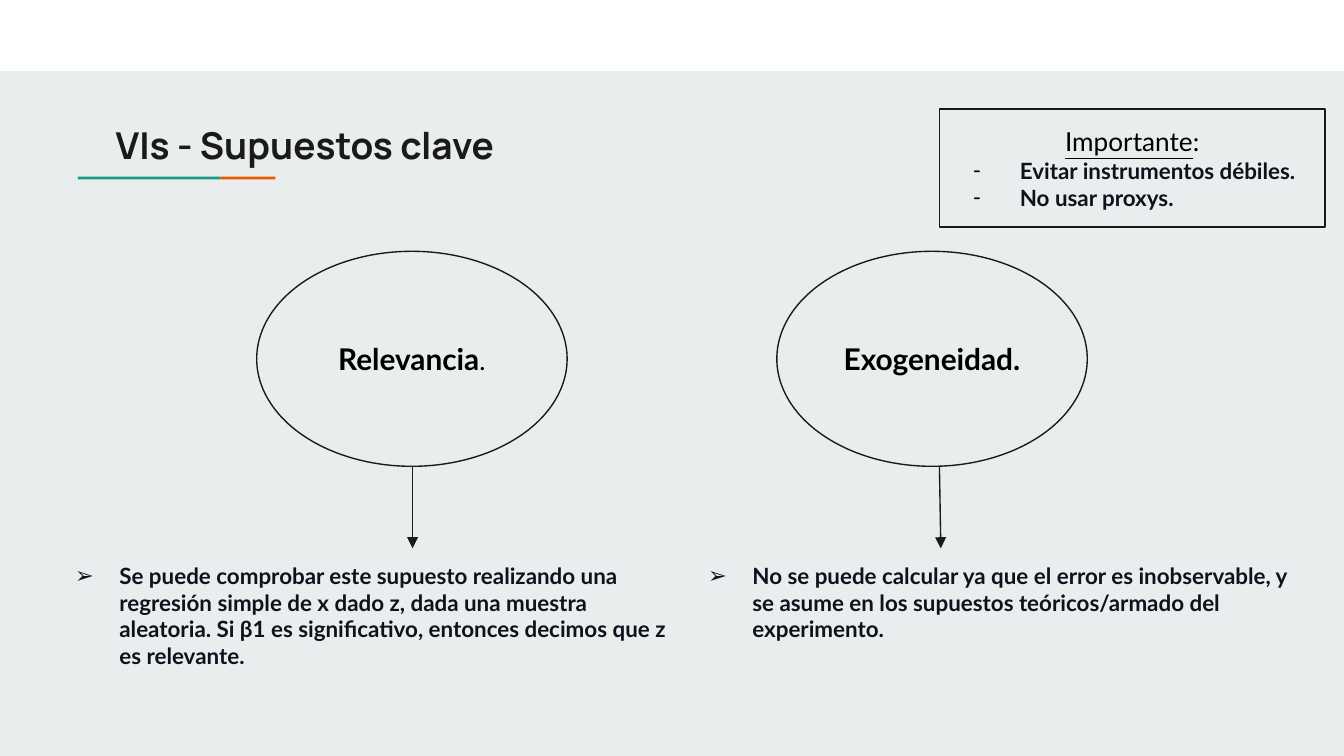
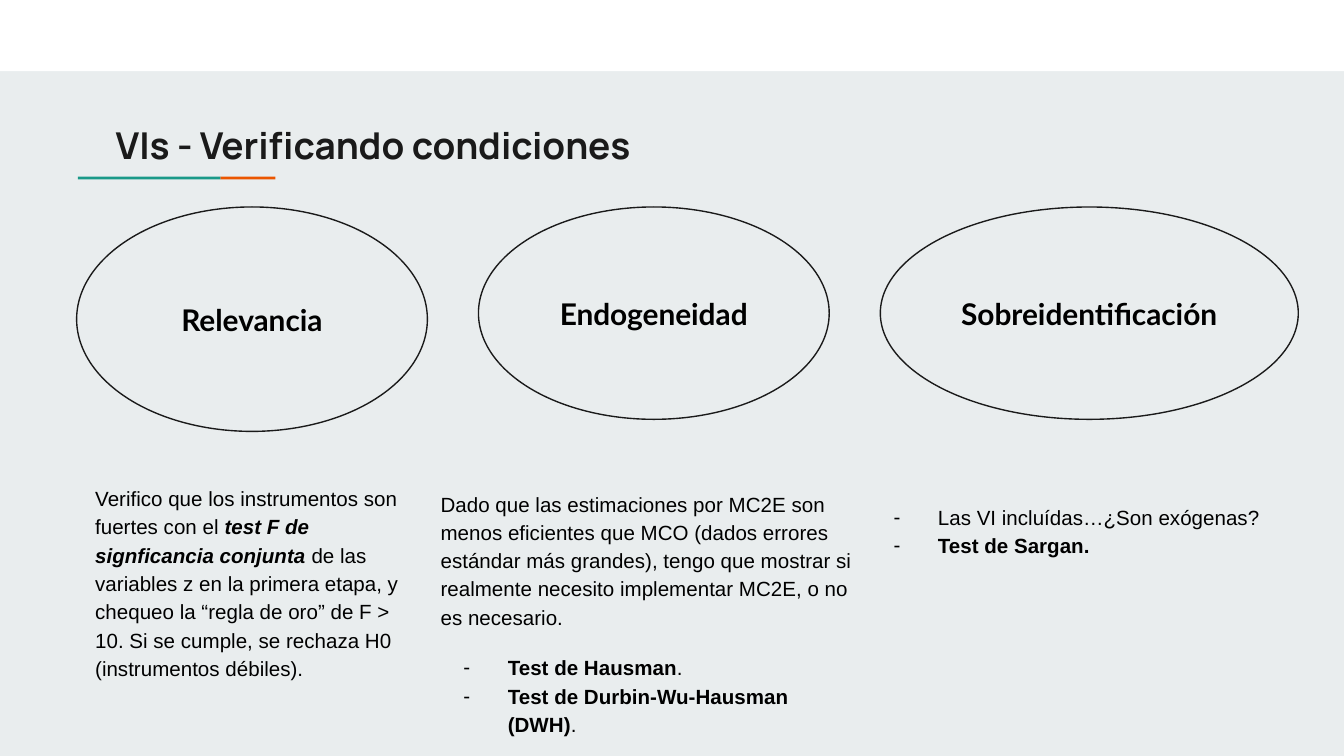
from lxml import etree
from pptx import Presentation
from pptx import util as u
from pptx.dml.color import RGBColor
from pptx.enum import shapes, text
from pptx.oxml.ns import qn

WHITE = RGBColor(0xFF, 0xFF, 0xFF)
MIST = RGBColor(0xE9, 0xED, 0xEE)
ORANGE = RGBColor(0xEB, 0x56, 0x00)
TEAL = RGBColor(0x1A, 0x99, 0x88)
CHARCOAL = RGBColor(0x1A, 0x1A, 0x1A)
NAVY = RGBColor(0x0E, 0x12, 0x1D)
BLACK = RGBColor(0, 0, 0)
TITLE_FONT, HEAD_FONT, BODY_FONT = "Manrope", "Lato", "Arial"

prs = Presentation()
prs.slide_width = u.Inches(10)
prs.slide_height = prs.slide_width * 9 // 16
CELL = prs.slide_width / 100  # the grid has 100 columns of square cells


def add_box(s, kind, cells, fill=None, line=None):
    """Add a text box (kind None) or a preset shape placed in grid cells."""
    place = [int(c * CELL) for c in cells]
    if kind is None:
        sp = s.shapes.add_textbox(*place)
    else:
        sp = s.shapes.add_shape(kind, *place)
        sp.shadow.inherit = False
        if fill is None:
            sp.fill.background()
        else:
            sp.fill.solid()
            sp.fill.fore_color.rgb = fill
        if line is None:
            sp.line.fill.background()
        else:
            sp.line.color.rgb = line
            sp.line.width = u.Pt(0.75)
    return sp


def write(sp, paragraphs, font, anchor=text.MSO_ANCHOR.TOP, spacing=None):
    """Paragraph: (bullet, left, hang, space before, align, runs); run: (text, size, colour, style)."""
    tf = sp.text_frame
    tf.word_wrap = True
    tf.auto_size = text.MSO_AUTO_SIZE.NONE
    tf.vertical_anchor = anchor
    tf.margin_left = tf.margin_right = tf.margin_top = tf.margin_bottom = int(CELL)
    for i, (bullet, left, hang, before, align, runs) in enumerate(paragraphs):
        p = tf.paragraphs[0] if i == 0 else tf.add_paragraph()
        p.alignment = align
        p.space_before = u.Pt(before)
        if spacing:
            p.line_spacing = spacing
        pPr = p._p.get_or_add_pPr()
        pPr.set("marL", str(int(left * CELL)))
        pPr.set("indent", str(int(-hang * CELL)))
        if bullet:
            clr = etree.SubElement(pPr, qn("a:buClr"))
            shade = NAVY if bullet == "➢" else BLACK
            etree.SubElement(clr, qn("a:srgbClr")).set("val", str(shade))
            etree.SubElement(pPr, qn("a:buSzPts")).set("val", str(runs[0][1] * 100))
            etree.SubElement(pPr, qn("a:buFont")).set("typeface", font)
            etree.SubElement(pPr, qn("a:buChar")).set("char", bullet)
        for words, size, colour, style in runs:
            r = p.add_run()
            r.text = words
            r.font.name, r.font.size = font, u.Pt(size)
            r.font.color.rgb = colour
            r.font.bold = "b" in style
            r.font.italic = "i" in style
            r.font.underline = "u" in style


LEFT, CENTER = text.PP_ALIGN.LEFT, text.PP_ALIGN.CENTER
MIDDLE = text.MSO_ANCHOR.MIDDLE
RECT, OVAL = shapes.MSO_SHAPE.RECTANGLE, shapes.MSO_SHAPE.OVAL

# Shared background, band, accent rule and title
bg = prs.slide_master.background.fill
bg.solid()
bg.fore_color.rgb = MIST
slides = []
for title in ("VIs - Supuestos clave", "VIs - Verificando condiciones"):
    s = prs.slides.add_slide(prs.slide_layouts[5])
    add_box(s, RECT, (0, 0, 100, 5.3), WHITE)
    add_box(s, RECT, (16.4, 13.15, 4.1, 0.2), ORANGE)
    add_box(s, RECT, (5.8, 13.15, 10.6, 0.2), TEAL)
    sp = s.shapes.title
    sp.left, sp.top, sp.width, sp.height = [int(c * CELL) for c in (2.9, 8.1, 72.2, 5.2)]
    write(sp, [(None, 4.7, 0, 0, LEFT, [(title, 19.8, CHARCOAL, "b")])], TITLE_FONT)
    slides.append(s)
assumptions, checks = slides

# Slide 1: the two assumptions, each with an arrow to its explanation
s = assumptions
columns = [
    (19.1, MIST, [("Relevancia", 16, BLACK, "b"), (".", 14, BLACK, "")],
     30.7, 30.7, 2.9, 48.6,
     "Se puede comprobar este supuesto realizando una regresión simple de x dado z, "
     "dada una muestra aleatoria. Si β1 es significativo, entonces decimos que z es relevante."),
    (57.8, None, [("Exogeneidad.", 16, BLACK, "b")],
     69.9, 70, 50, 47.4,
     "No se puede calcular ya que el error es inobservable, y se asume en los supuestos "
     "teóricos/armado del experimento."),
]
for oval_x, fill, name, start_x, end_x, note_x, note_w, note in columns:
    sp = add_box(s, OVAL, (oval_x, 18.7, 23.1, 16), fill, CHARCOAL)
    write(sp, [(None, 0, 0, 0, CENTER, name)], HEAD_FONT, MIDDLE)
    ends = [int(c * CELL) for c in (start_x, 34.7, end_x, 40.8)]
    arrow = s.shapes.add_connector(shapes.MSO_CONNECTOR.STRAIGHT, *ends)
    arrow.line.color.rgb = CHARCOAL
    arrow.line.width = u.Pt(0.75)
    spPr = arrow._element.spPr
    etree.SubElement(spPr.find(qn("a:ln")), qn("a:tailEnd")).set("type", "triangle")
    etree.SubElement(spPr, qn("a:effectLst"))
    sp = add_box(s, None, (note_x, 40.8, note_w, 8.8))
    write(sp, [("➢", 5, 3.3, 0, LEFT, [(note, 12, NAVY, "b")])], HEAD_FONT)

# Slide 1: warning box
sp = add_box(s, RECT, (69.9, 8.1, 28.7, 8.8), MIST, CHARCOAL)
warning = [(None, 0, 0, 0, CENTER, [("Importante", 14, BLACK, "u"), (":", 14, BLACK, "")])]
for advice in ("Evitar instrumentos débiles.", "No usar proxys."):
    warning.append(("-", 5, 3.5, 0, LEFT, [(advice, 12, NAVY, "b")]))
write(sp, warning, HEAD_FONT, MIDDLE)

# Slide 2: the three conditions
s = checks
for name, cells in (("Relevancia", (5.7, 15.4, 26.1, 16.7)),
                    ("Endogeneidad", (35.6, 15.4, 26.1, 15.8)),
                    ("Sobreidentificación", (65.5, 15.4, 31.1, 15.8))):
    sp = add_box(s, OVAL, cells, MIST, CHARCOAL)
    write(sp, [(None, 0, 0, 0, CENTER, [(name, 16, BLACK, "b")])], HEAD_FONT, MIDDLE)

# Slide 2: how each condition is tested; paragraphs are (bullet, left, hang, before, runs)
tests = [
    ((-1.4, 34.9, 32.8, 16.6), [
        (None, 7.5, 0, 0, [
            ("Verifico que los instrumentos son fuertes con el ", ""),
            ("test F de signficancia conjunta", "bi"),
            (" de las variables z en la primera etapa, y chequeo la “regla de oro” de F > 10. "
             "Si se cumple, se rechaza H0 (instrumentos débiles).", "")])]),
    ((31.8, 35.3, 32.8, 20.5), [
        (None, 0, 0, 0, [
            ("Dado que las estimaciones por MC2E son menos eficientes que MCO (dados errores "
             "estándar más grandes), tengo que mostrar si realmente necesito implementar MC2E, "
             "o no es necesario.", "")]),
        ("-", 5, 3.3, 12, [("Test de Hausman", "b"), (".", "")]),
        ("-", 5, 3.3, 0, [("Test de Durbin-Wu-Hausman (DWH)", "b"), (".", "")])]),
    ((63.8, 36.3, 32.8, 6), [
        ("-", 5, 3.3, 0, [("Las VI incluídas…¿Son exógenas?", "")]),
        ("-", 5, 3.3, 0, [("Test de Sargan.", "b")])]),
]
for cells, paragraphs in tests:
    body = [(bullet, left, hang, before, LEFT, [(words, 11, BLACK, style) for words, style in runs])
            for bullet, left, hang, before, runs in paragraphs]
    write(add_box(s, None, cells), body, BODY_FONT, spacing=1.15)

prs.save("out.pptx")
